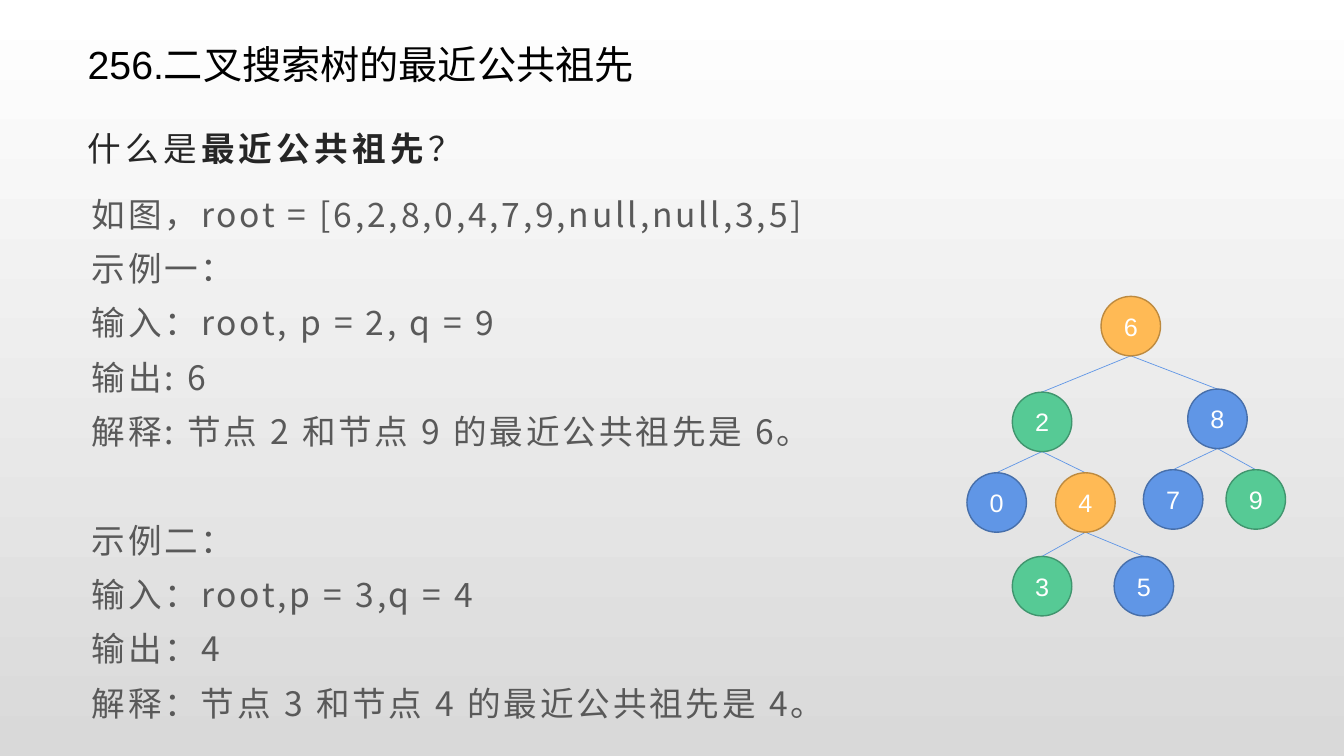
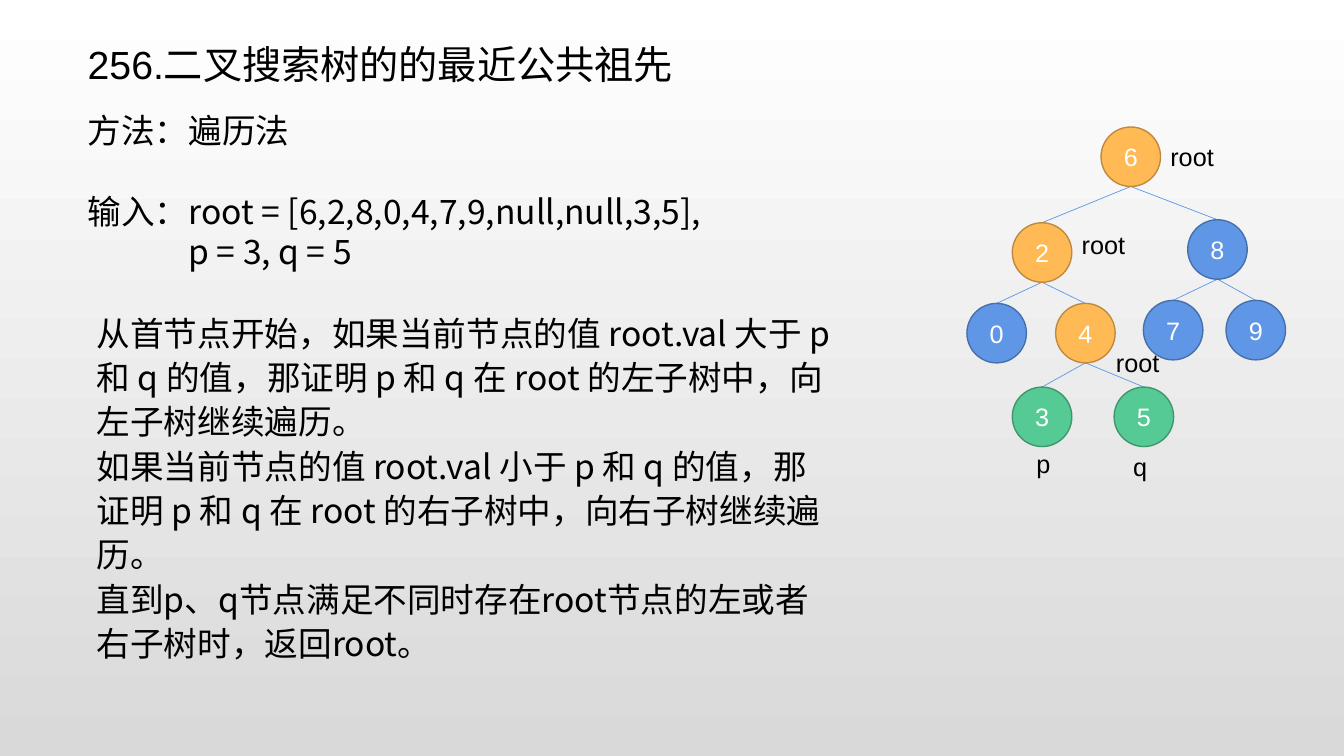
from dataclasses import dataclass

from lxml.etree import SubElement
from pptx import Presentation
from pptx.dml.color import RGBColor as Rgb
from pptx.enum.shapes import MSO_CONNECTOR as Connector, MSO_SHAPE as Shape
from pptx.enum.text import MSO_ANCHOR as Anchor, MSO_AUTO_SIZE as AutoSize, PP_ALIGN as Align
from pptx.oxml.ns import qn
from pptx.util import Inches, Pt


@dataclass(frozen=True)
class Theme:
    latin: str = "Arial"
    cjk: str = "Noto Sans CJK SC"
    title_size: float = 28
    body_size: float = 24
    node_size: float = 18
    line_height: float = 28.8
    loose_height: float = 31.7
    black: str = "000000"
    white: str = "FFFFFF"
    heading: str = "262626"
    muted: str = "595959"
    edge: str = "6096E6"
    backdrop: tuple = ("FFFFFF", "D9D9D9")
    plain: tuple = ("6096E6", "476FAA")
    target: tuple = ("56CA95", "40956E")
    ancestor: tuple = ("FFBA55", "BD8A3F")


THEME = Theme()
NODE_DIAMETER = 0.59
NODE_PLACES = {
    "6": (1.33, 0), "2": (0.45, 0.95), "8": (2.19, 0.92),
    "0": (0, 1.75), "4": (0.88, 1.75), "7": (1.75, 1.72), "9": (2.57, 1.72),
    "3": (0.45, 2.58), "5": (1.46, 2.58),
}
CHILDREN = {"6": "28", "2": "04", "8": "79", "4": "35"}


def set_values(target, values):
    for name, value in values.items():
        setattr(target, name, value)


def place(region, box):
    set_values(region, dict(zip(("left", "top", "width", "height"), map(Inches, box))))


def format_frame(frame, wrap=True, anchor=Anchor.TOP):
    set_values(frame, {"auto_size": AutoSize.NONE, "word_wrap": wrap, "vertical_anchor": anchor})


def add_run(paragraph, text, size, color, latin=THEME.latin, bold=False, spacing=0):
    run = paragraph.add_run()
    run.text = text
    set_values(run.font, {"size": Pt(size), "bold": bold, "name": latin})
    run.font.color.rgb = Rgb.from_string(color)
    properties = run.font._element
    SubElement(properties, qn("a:ea")).set("typeface", THEME.cjk)
    if spacing:
        properties.set("spc", str(spacing * 100))


def format_paragraph(paragraph, align=Align.LEFT, line=None, before=0, after=0, margin=0, indent=0):
    properties = paragraph._p.get_or_add_pPr()
    properties.set("marL", str(Inches(margin)))
    properties.set("indent", str(Inches(indent)))
    SubElement(properties, qn("a:buNone"))
    set_values(paragraph, {
        "alignment": align, "space_before": Pt(before), "space_after": Pt(after),
        "line_spacing": Pt(line) if line else 1.0,
    })


def fill_body(region, box, paragraphs, color, spacing=0, **shared):
    place(region, box)
    frame = region.text_frame
    format_frame(frame)
    for index, (runs, own) in enumerate(paragraphs):
        paragraph = frame.add_paragraph() if index else frame.paragraphs[0]
        format_paragraph(paragraph, **{"line": THEME.line_height, **shared, **own})
        for text, bold in runs:
            add_run(paragraph, text, THEME.body_size, color, THEME.cjk, bold, spacing)


def plain_lines(lines, special=None):
    return [([(line, False)], (special or {}).get(line, {})) for line in lines]


def fill_title(slide, text):
    title = slide.shapes.title
    place(title, (0.77, 0.35, 8, 0.57))
    format_frame(title.text_frame)
    paragraph = title.text_frame.paragraphs[0]
    format_paragraph(paragraph)
    add_run(paragraph, text, THEME.title_size, THEME.black)


def add_edge(slide, start, end):
    edge = slide.shapes.add_connector(Connector.STRAIGHT, *map(Inches, start + end))
    edge.line.color.rgb = Rgb.from_string(THEME.edge)
    edge.line.width = Pt(0.5)
    SubElement(edge._element.spPr, qn("a:effectLst"))


def add_node(slide, value, left, top, colors):
    node = slide.shapes.add_shape(
        Shape.OVAL, *map(Inches, (left, top, NODE_DIAMETER, NODE_DIAMETER)))
    node.shadow.inherit = False
    node.fill.solid()
    node.fill.fore_color.rgb, node.line.color.rgb = map(Rgb.from_string, colors)
    node.line.width = Pt(1)
    format_frame(node.text_frame, anchor=Anchor.MIDDLE)
    paragraph = node.text_frame.paragraphs[0]
    paragraph.alignment = Align.CENTER
    add_run(paragraph, value, THEME.node_size, THEME.white)


def add_label(slide, text, left, top):
    label = slide.shapes.add_textbox(*map(Inches, (left, top, 0.73, 0.4)))
    format_frame(label.text_frame, wrap=False)
    add_run(label.text_frame.paragraphs[0], text, THEME.node_size, THEME.black)


def draw_tree(slide, left, top, ancestors, targets, labels=()):
    places = {value: (left + x, top + y) for value, (x, y) in NODE_PLACES.items()}
    radius = NODE_DIAMETER / 2
    for parent, children in CHILDREN.items():
        parent_x, parent_y = places[parent]
        for child in children:
            child_x, child_y = places[child]
            add_edge(slide, (parent_x + radius, parent_y + NODE_DIAMETER),
                     (child_x + radius, child_y))
    for value, (x, y) in places.items():
        colors = (THEME.ancestor if value in ancestors
                  else THEME.target if value in targets else THEME.plain)
        add_node(slide, value, x, y, colors)
    for text, x, y in labels:
        add_label(slide, text, left + x, top + y)


def build_definition(slide):
    fill_title(slide, "256.二叉搜索树的最近公共祖先")
    heading, examples = list(slide.placeholders)[1:]
    question = [("什么是", False), ("最近公共祖先", True), ("？", False)]
    fill_body(heading, (0.77, 1.22, 8, 0.5), [(question, {})], THEME.heading, spacing=3)
    lines = (
        "如图，root = [6,2,8,0,4,7,9,null,null,3,5]",
        "示例一：",
        "输入：root, p = 2, q = 9",
        "输出: 6",
        "解释: 节点 2 和节点 9 的最近公共祖先是 6。",
        "示例二：",
        "输入：root,p = 3,q = 4",
        "输出：4",
        "解释：节点 3 和节点 4 的最近公共祖先是 4。",
    )
    gap = {"示例二：": {"before": THEME.line_height + 10}}
    fill_body(examples, (0.81, 1.87, 8.14, 5.63), plain_lines(lines, gap), THEME.muted,
              spacing=2, align=Align.JUSTIFY, after=10)
    draw_tree(slide, 9.59, 2.94, ancestors="64", targets="293")


def build_traversal(slide):
    fill_title(slide, "256.二叉搜索树的的最近公共祖先")
    method, steps = list(slide.placeholders)[1:]
    tree_input = "输入：root = [6,2,8,0,4,7,9,null,null,3,5],"
    targets = "p = 3, q = 5"
    special = {tree_input: {"before": THEME.line_height}, targets: {"margin": 0.5, "indent": 0.5}}
    fill_body(method, (0.77, 1.04, 8, 1.9),
              plain_lines(("方法：遍历法", tree_input, targets), special),
              THEME.black, align=Align.JUSTIFY)
    explanation = (
        "从首节点开始，如果当前节点的值 root.val 大于 p 和 q 的值，那证明 p 和 q 在 root 的左子树中，向左子树继续遍历。",
        "如果当前节点的值 root.val 小于 p 和 q 的值，那证明 p 和 q 在 root 的右子树中，向右子树继续遍历。",
        "直到p、q节点满足不同时存在root节点的左或者右子树时，返回root。",
    )
    fill_body(steps, (0.86, 3.01, 7.57, 3.8), plain_lines(explanation), THEME.black,
              line=THEME.loose_height)
    labels = (("root", 1.92, 0.09), ("root", 1.04, 0.97), ("root", 1.38, 2.14),
              ("p", 0.59, 3.14), ("q", 1.55, 3.17))
    draw_tree(slide, 9.59, 1.26, ancestors="624", targets="35", labels=labels)


def paint_background(master):
    fill = master.background.fill
    fill.gradient()
    fill.gradient_angle = 270
    for stop, color, position in zip(fill.gradient_stops, THEME.backdrop, (0, 1)):
        stop.color.rgb = Rgb.from_string(color)
        stop.position = position


def main():
    deck = Presentation()
    set_values(deck, {"slide_width": Inches(13.33), "slide_height": Inches(7.5)})
    paint_background(deck.slide_master)
    two_content = deck.slide_layouts[3]
    for build in (build_definition, build_traversal):
        build(deck.slides.add_slide(two_content))
    deck.save("out.pptx")


if __name__ == "__main__":
    main()
